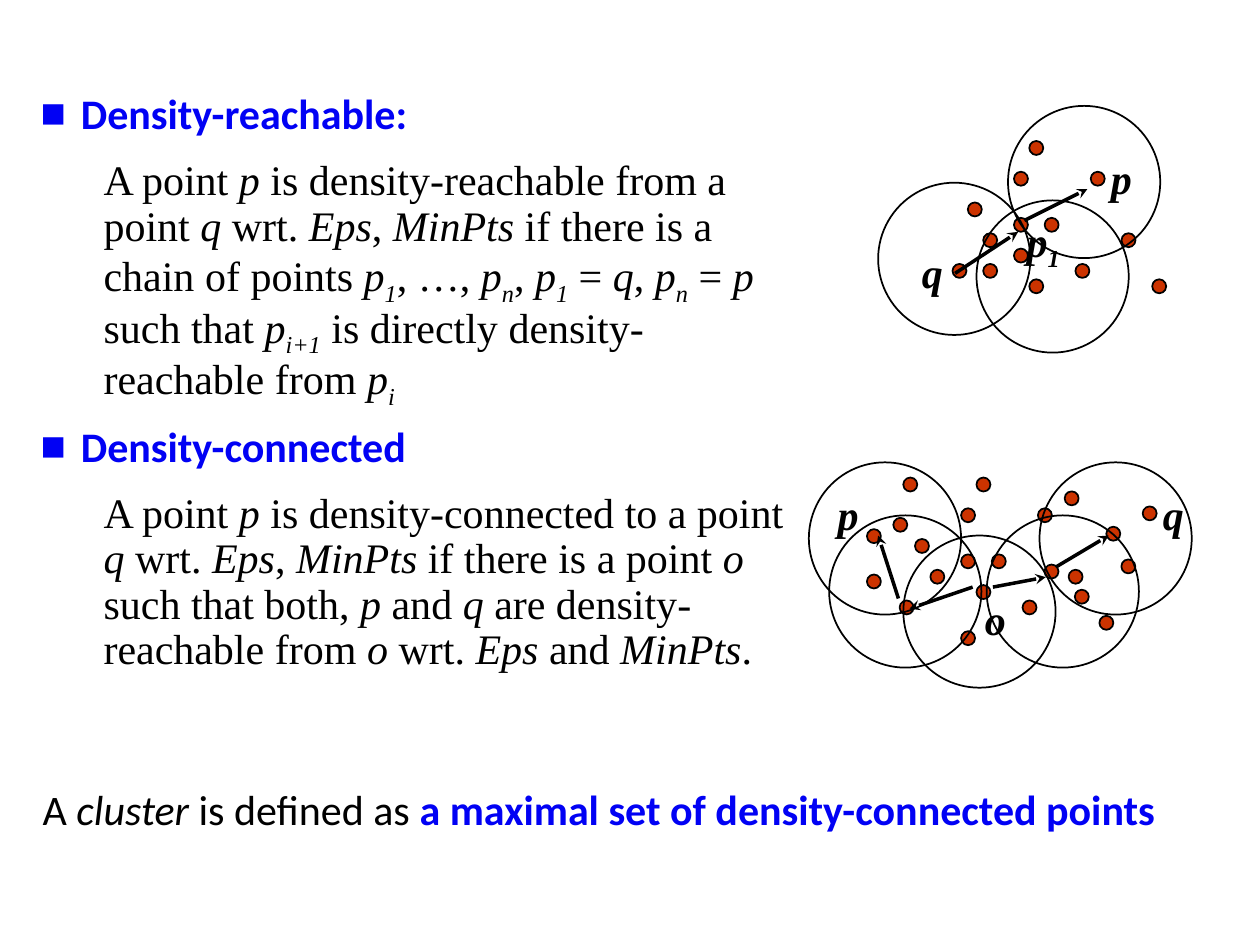
from dataclasses import dataclass

from lxml.etree import SubElement
from pptx import Presentation
from pptx.dml.color import RGBColor
from pptx.enum.shapes import MSO_CONNECTOR, MSO_SHAPE
from pptx.enum.text import MSO_AUTO_SIZE
from pptx.oxml.ns import qn
from pptx.util import Pt


@dataclass(frozen=True)
class Theme:
    ink: RGBColor = RGBColor(0x00, 0x00, 0x00)
    accent: RGBColor = RGBColor(0x01, 0x01, 0xF4)
    point: RGBColor = RGBColor(0xCC, 0x33, 0x00)
    sans: str = "Calibri"
    serif: str = "Times New Roman"
    size: float = 24
    outline: float = 1
    arrow: float = 2
    dot: float = 8
    circle: float = 87
    grid: float = 8.78


THEME = Theme()


def write(paragraph, text, font=THEME.serif, color=THEME.ink, bold=False):
    """Add runs: *...* is italic, and inside it what follows _ is subscript."""
    for index, part in enumerate(text.split("*")):
        base, _, subscript = part.partition("_")
        for piece, lowered in ((base, False), (subscript, True)):
            if not piece:
                continue
            run = paragraph.add_run()
            run.text = piece
            run.font.name = font
            run.font.size = Pt(THEME.size)
            run.font.bold = bold
            run.font.italic = index % 2 == 1
            run.font.color.rgb = color
            if lowered:
                run._r.get_or_add_rPr().set("baseline", "-25000")


class DensitySlide:
    """Holds the theme, the slide and the shape collection being drawn on."""

    def __init__(self, slide, theme):
        self.slide = slide
        self.theme = theme
        self.shapes = slide.shapes

    def definitions(self, entries, left, top, width, height):
        body = self.slide.placeholders[1]
        body.left, body.top, body.width, body.height = map(Pt, (left, top, width, height))
        frame = body.text_frame
        frame.auto_size = MSO_AUTO_SIZE.NONE
        for index, (term, meaning) in enumerate(entries):
            heading = frame.paragraphs[0] if index == 0 else frame.add_paragraph()
            self.indent(heading, 23, -23, bullet="■")
            write(heading, term, font=self.theme.sans, color=self.theme.accent, bold=True)
            explanation = frame.add_paragraph()
            explanation.level = 1
            self.indent(explanation, 36, 0)
            write(explanation, meaning)
        for paragraph in frame.paragraphs:
            paragraph.line_spacing = 0.9
            paragraph.space_before = Pt(12)
        frame.paragraphs[0].space_before = Pt(0)

    def indent(self, paragraph, margin, first_line, bullet=None):
        properties = paragraph._p.get_or_add_pPr()
        properties.set("marL", str(Pt(margin)))
        properties.set("indent", str(Pt(first_line)))
        if bullet:
            SubElement(properties, qn("a:buChar"), char=bullet)
        else:
            SubElement(properties, qn("a:buNone"))

    def text_box(self, left, top, width, height):
        box = self.shapes.add_textbox(Pt(left), Pt(top), Pt(width), Pt(height))
        box.text_frame.word_wrap = True
        return box.text_frame.paragraphs[0]

    def label(self, text, left, top, width=30):
        write(self.text_box(left, top, width, 36), text, bold=True)

    def ellipse(self, left, top, diameter, fill=None):
        shape = self.shapes.add_shape(
            MSO_SHAPE.OVAL, Pt(left), Pt(top), Pt(diameter), Pt(diameter))
        shape.shadow.inherit = False
        if fill is None:
            shape.fill.background()
        else:
            shape.fill.solid()
            shape.fill.fore_color.rgb = fill
        shape.line.color.rgb = self.theme.ink
        shape.line.width = Pt(self.theme.outline)

    def arrow(self, *ends):
        line = self.shapes.add_connector(MSO_CONNECTOR.STRAIGHT, *map(Pt, ends))
        line.line.color.rgb = self.theme.ink
        line.line.width = Pt(self.theme.arrow)
        SubElement(line.line._get_or_add_ln(), qn("a:tailEnd"), type="stealth")
        SubElement(line._element.spPr, qn("a:effectLst"))

    def diagram(self, origin, cells, loose, neighbourhoods, arrows, labels):
        """Draw a group; cells are grid steps from origin, the rest is in points."""
        self.shapes = self.slide.shapes.add_group_shape().shapes
        left, top = origin
        step = self.theme.grid
        on_grid = [(left + step * column, top + step * row) for column, row in cells]
        for x, y in on_grid + loose:
            self.ellipse(x, y, self.theme.dot, fill=self.theme.point)
        for x, y in neighbourhoods:
            self.ellipse(x, y, self.theme.circle)
        for ends in arrows:
            self.arrow(*ends)
        for label in labels:
            self.label(*label)
        self.shapes = self.slide.shapes


DEFINITIONS = [
    ("Density-reachable:",
     "A point *p* is density-reachable from a point *q *wrt. *Eps*, *MinPts* if there is "
     "a chain of points *p_1*, …, *p_n*, *p_1* = *q*, *p_n* = *p* such that *p_i+1* is "
     "directly density-reachable from *p_i*"),
    ("Density-connected",
     "A point *p* is density-connected to a point *q *wrt. *Eps*, *MinPts* if there is "
     "a point *o *such that both, *p* and *q* are density-reachable from *o *wrt. *Eps* "
     "and *MinPts*."),
]
SHARED_CELLS = [(1, 4), (4, 5), (4, 2), (0, 8), (2, 6), (5, 0), (11, 6), (9, 2),
                (6, 5), (8, 8), (13, 9)]


def main():
    presentation = Presentation()
    presentation.slide_width, presentation.slide_height = Pt(720), Pt(540)
    slide = presentation.slides.add_slide(presentation.slide_layouts[1])
    title = slide.shapes.title._element
    title.getparent().remove(title)

    page = DensitySlide(slide, THEME)
    page.definitions(DEFINITIONS, 16, 49.7, 444, 366)
    page.diagram(
        origin=(544.3, 80.6),
        cells=SHARED_CELLS + [(2, 8), (5, 9), (4, 7)],
        loose=[],
        neighbourhoods=[(558, 114.5), (501.8, 104.4), (576, 60.5)],
        arrows=[(585.4, 126, 621.4, 108), (545.8, 156.2, 581.8, 132.5)],
        labels=[("*p*", 627.8, 83.5), ("*q*", 519.8, 137.5), ("*p_1*", 579.6, 119.5, 48)],
    )
    page.diagram(
        origin=(514.1, 272.9),
        cells=SHARED_CELLS + [(4, 10), (5, 7)],
        loose=[(495.4, 328.3), (640.8, 319.7), (596.9, 322.6), (614.2, 337), (653, 289.4),
               (608.4, 280.8), (632.2, 301), (510.5, 295.9), (495.4, 302.4), (516.2, 272.9)],
        neighbourhoods=[(473.8, 294.5), (516.2, 306), (563.8, 294.5), (594, 264.2),
                        (462.2, 264.2)],
        arrows=[(555.8, 335.5, 519.8, 347.8), (567.4, 335.5, 597.6, 329.8),
                (513.4, 342, 501.8, 306), (603.4, 324, 633.6, 306)],
        labels=[("*p*", 471.6, 275.8), ("*q*", 657.4, 275.8), ("*o*", 555.8, 335.5)],
    )
    conclusion = page.text_box(17.3, 444.2, 653.8, 36.7)
    write(conclusion, "A *cluster* is defined as ", font=THEME.sans)
    write(conclusion, "a maximal set of density-connected points",
          font=THEME.sans, color=THEME.accent, bold=True)
    presentation.save("out.pptx")


if __name__ == "__main__":
    main()
